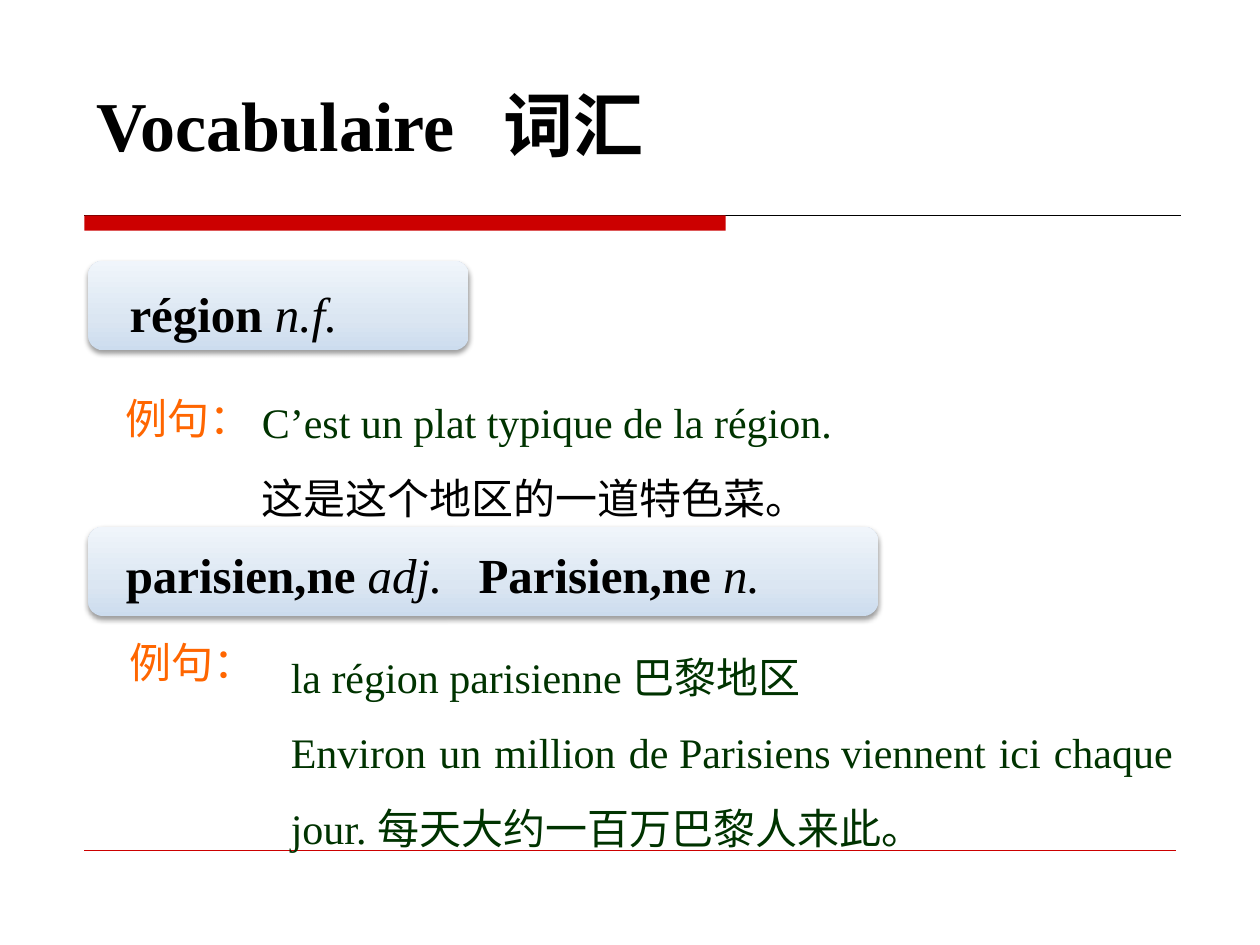
from lxml.etree import SubElement
from pptx import Presentation
from pptx.dml.color import RGBColor
from pptx.enum.shapes import MSO_CONNECTOR, MSO_SHAPE
from pptx.enum.text import MSO_AUTO_SIZE, PP_ALIGN
from pptx.oxml import parse_xml
from pptx.oxml.ns import nsdecls, qn
from pptx.util import Inches, Pt

COLORS = {
    "red": "CC0000",
    "black": "000000",
    "green": "003300",
    "orange": "FF6600",
    "card_bottom": "CCDCEE",
    "card_middle": "DBE6F2",
    "card_top": "F0F5FB",
}
LATIN, CHINESE = "Times New Roman", "Noto Sans CJK SC"

TITLE = {"size": Pt(40), "name": LATIN, "bold": True}
WORD = {"size": Pt(28), "name": LATIN, "bold": True}
WORD_CLASS = {"size": Pt(28), "name": LATIN, "italic": True}
SENTENCE = {"size": Pt(24), "name": LATIN}
LABEL = {"size": Pt(24), "name": CHINESE}


def rgb(color):
    return RGBColor.from_string(COLORS[color])


def add_run(paragraph, text, style, color):
    run = paragraph.add_run()
    run.text = text
    for attribute, value in style.items():
        setattr(run.font, attribute, value)
    run.font.color.rgb = rgb(color)
    SubElement(run.font._element, qn("a:ea"), typeface=CHINESE)


def add_text(slide, box, paragraphs, wrap=True, tab=None, **layout):
    """Add a text box; each paragraph is a list of (text, style, color) runs."""
    frame = slide.shapes.add_textbox(*map(Inches, box)).text_frame
    frame.word_wrap = wrap
    frame.auto_size = MSO_AUTO_SIZE.SHAPE_TO_FIT_TEXT
    for index, runs in enumerate(paragraphs):
        paragraph = frame.add_paragraph() if index else frame.paragraphs[0]
        if tab:
            tabs = SubElement(paragraph._p.get_or_add_pPr(), qn("a:tabLst"))
            SubElement(tabs, qn("a:tab"), pos=str(Inches(tab)), algn="l")
        for attribute, value in layout.items():
            setattr(paragraph, attribute, value)
        for run in runs:
            add_run(paragraph, *run)
    return frame


def add_rule(slide, y, right, color, width):
    rule = slide.shapes.add_connector(
        MSO_CONNECTOR.STRAIGHT, Inches(0.67), Inches(y), Inches(right), Inches(y))
    rule.line.color.rgb = rgb(color)
    rule.line.width = Pt(width)
    SubElement(rule._element.spPr, qn("a:effectLst"))


def add_title_bar(slide):
    bar = slide.shapes.add_shape(
        MSO_SHAPE.RECTANGLE, Inches(0.67), Inches(1.71), Inches(5.09), Inches(0.12))
    bar.shadow.inherit = False
    bar.fill.solid()
    bar.fill.fore_color.rgb = rgb("red")
    bar.line.fill.background()


def add_word_card(slide, top, width):
    """Add a rounded card with a vertical gradient and a soft shadow below it."""
    card = slide.shapes.add_shape(
        MSO_SHAPE.ROUNDED_RECTANGLE, Inches(0.7), Inches(top), Inches(width), Inches(0.71))
    card.line.fill.background()
    stops = "".join(
        f'<a:gs pos="{position * 1000}"><a:srgbClr val="{COLORS[color]}"/></a:gs>'
        for position, color in ((0, "card_bottom"), (35, "card_middle"), (100, "card_top")))
    properties = card._element.spPr
    properties.find(qn("a:prstGeom")).addnext(parse_xml(
        f'<a:gradFill {nsdecls("a")} rotWithShape="1"><a:gsLst>{stops}</a:gsLst>'
        '<a:lin ang="16200000" scaled="0"/></a:gradFill>'))
    properties.append(parse_xml(
        f'<a:effectLst {nsdecls("a")}><a:outerShdw blurRad="{Pt(3.1)}" dist="{Pt(1.6)}" '
        f'dir="5400000" rotWithShape="0"><a:srgbClr val="{COLORS["black"]}">'
        '<a:alpha val="38000"/></a:srgbClr></a:outerShdw></a:effectLst>'))


def add_example_label(slide, left, top):
    add_text(slide, (left, top, 1.21, 0.5), [[("例句：", LABEL, "orange")]], wrap=False)


def main():
    presentation = Presentation()
    presentation.slide_width, presentation.slide_height = Inches(10), Inches(7.5)
    slide = presentation.slides.add_slide(presentation.slide_layouts[6])

    add_rule(slide, 1.71, 9.37, "black", 0.75)
    add_title_bar(slide)
    add_rule(slide, 6.75, 9.33, "red", 0.25)
    add_text(slide, (0.67, 0.6, 7.8, 0.77),
             [[("Vocabulaire\t词汇", TITLE, "black")]], tab=3.23)

    add_text(slide, (1.98, 2.9, 7.8, 1.24), [
        [("C’est un plat typique de la\u00a0région.", SENTENCE, "green")],
        [("这是这个地区的一道特色菜。", SENTENCE, "black")],
    ], line_spacing=1.5)
    add_example_label(slide, 0.9, 3.07)
    add_word_card(slide, 2.07, 3.02)
    add_text(slide, (0.93, 1.97, 1.87, 0.72), [
        [("région ", WORD, "black"), ("n.f.", WORD_CLASS, "black")],
    ], wrap=False, line_spacing=1.5)

    add_word_card(slide, 4.18, 6.27)
    add_text(slide, (0.9, 4.04, 8.17, 0.72), [
        [("parisien,ne ", WORD, "black"), ("adj.\t", WORD_CLASS, "black"),
         ("Parisien,ne ", WORD, "black"), ("n.", WORD_CLASS, "black")],
    ], tab=2.8, line_spacing=1.5)
    add_example_label(slide, 0.93, 5)
    examples = add_text(slide, (2.21, 4.92, 7.2, 1.85), [
        [("la région parisienne 巴黎地区", SENTENCE, "green")],
        [("Environ un million de\u00a0Parisiens\u00a0viennent ici chaque jour. "
          "每天大约一百万巴黎人来此。", SENTENCE, "green")],
    ], line_spacing=1.5)
    examples.paragraphs[1].alignment = PP_ALIGN.JUSTIFY

    presentation.save("out.pptx")


if __name__ == "__main__":
    main()
